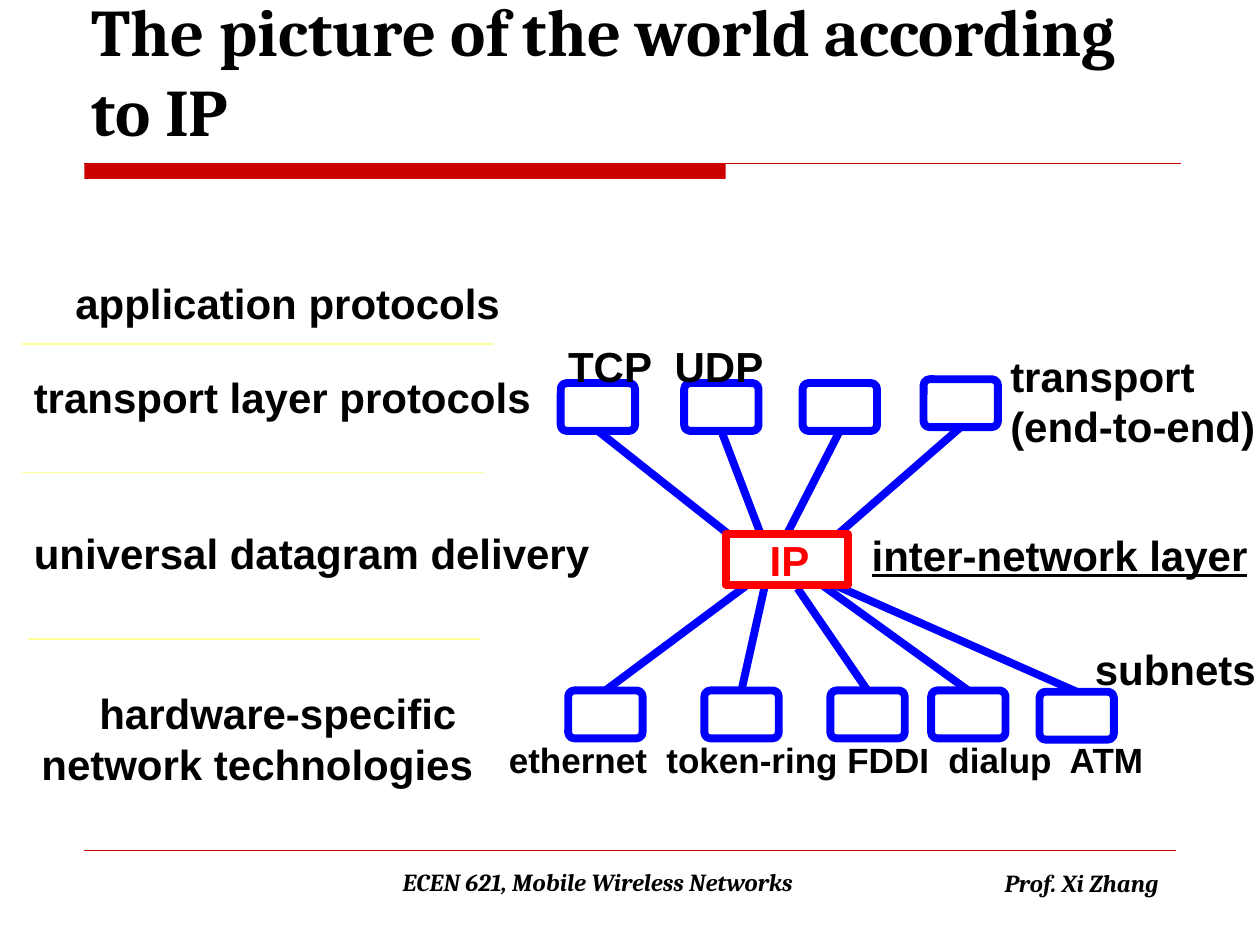
import pptx
import pptx.util
import pptx.dml.color
import pptx.enum.shapes
import pptx.enum.text
import pptx.oxml.ns
from lxml import etree

Inches = pptx.util.Inches
Pt = pptx.util.Pt
SHAPE = pptx.enum.shapes.MSO_SHAPE
ALIGN = pptx.enum.text.PP_ALIGN
ANCHOR = pptx.enum.text.MSO_ANCHOR

BLACK, BLUE, RED = "000000", "0000FF", "FF0000"
RULE, DIVIDER = "CC0000", "FFFF99"
TOP, BOTTOM = 0, 2
BOX_W, BOX_H = 0.59, 0.38


def color(value):
    return pptx.dml.color.RGBColor.from_string(value)


def add_text(s, text, x, y, w, h, size=24, font="Arial", c=BLACK, italic=False,
             underline=None, align=None, anchor=ANCHOR.TOP, right=0, indent=0):
    """Add bold text, one paragraph a line; indent shifts the first paragraph."""
    sp = s.shapes.add_textbox(Inches(x), Inches(y), Inches(w), Inches(h))
    tf = sp.text_frame
    tf.word_wrap = True
    tf.margin_right = Inches(right)
    tf.vertical_anchor = anchor
    for i, line in enumerate(text.split("\n")):
        p = tf.paragraphs[0] if i == 0 else tf.add_paragraph()
        p.alignment = align
        if i == 0 and indent:
            p._p.get_or_add_pPr().set("marL", str(Inches(indent)))
        r = p.add_run()
        r.text = line
        r.font.name, r.font.size = font, Pt(size)
        r.font.bold, r.font.italic, r.font.underline = True, italic, underline
        r.font.color.rgb = color(c)
    return sp


def add_box(s, kind, x, y, w, h, line=None, fill=None):
    sp = s.shapes.add_shape(kind, Inches(x), Inches(y), Inches(w), Inches(h))
    sp.shadow.inherit = False
    if fill:
        sp.fill.solid()
        sp.fill.fore_color.rgb = color(fill)
    else:
        sp.fill.background()
    if line:
        sp.line.color.rgb = color(line)
        sp.line.width = Pt(4.5)
    else:
        sp.line.fill.background()
    return sp


def add_protocol(s, x, y):
    sp = add_box(s, SHAPE.ROUNDED_RECTANGLE, x, y, BOX_W, BOX_H, line=BLUE)
    sp.adjustments[0] = 0.125
    return sp


def add_line(s, x1, y1, x2, y2, c, width):
    cn = s.shapes.add_connector(pptx.enum.shapes.MSO_CONNECTOR.STRAIGHT,
                                Inches(x1), Inches(y1), Inches(x2), Inches(y2))
    cn.line.color.rgb = color(c)
    cn.line.width = Pt(width)
    etree.SubElement(cn._element.spPr, pptx.oxml.ns.qn("a:effectLst"))
    return cn


def add_spoke(s, box_x, box_y, side, ip_x, ip_y):
    """Add a protocol box and the line that joins it to the IP box."""
    sp = add_protocol(s, box_x, box_y)
    cn = add_line(s, box_x, box_y, ip_x, ip_y, BLUE, 4.5)
    cn.begin_connect(sp, side)


def add_frame(s):
    # Title and its rule
    add_text(s, "The picture of the world according to IP", 0.63, 0.33, 8.75, 0.91,
             size=38, font="Cambria", anchor=ANCHOR.BOTTOM, right=0.1)
    add_box(s, SHAPE.RECTANGLE, 0.67, 1.3, 5.09, 0.12, fill=RULE)
    add_line(s, 0.67, 1.3, 9.37, 1.3, RULE, 0.75)

    # Footer
    footer = dict(size=14, font="Cambria", italic=True, align=ALIGN.CENTER, right=0.1)
    add_line(s, 0.67, 6.75, 9.33, 6.75, RULE, 0.25)
    add_text(s, "Prof. Xi Zhang", 7.25, 6.67, 2.42, 0.5,
             anchor=ANCHOR.BOTTOM, indent=0.25, **footer)
    add_text(s, "ECEN 621, Mobile Wireless Networks", 2.08, 6.83, 5.33, 0.5, **footer)


def add_layers(s):
    # Layer names on the left, with dividers between them
    add_text(s, "application protocols", 0.5, 2.15, 3.57, 0.5)
    add_text(s, "transport layer protocols", 0.17, 2.9, 4.14, 0.5)
    add_text(s, "universal datagram delivery", 0.17, 4.14, 4.61, 0.5)
    add_text(s, "hardware-specific\nnetwork technologies", 0.23, 5.41, 3.62, 0.9,
             indent=0.46)
    for x1, x2, y in [(0.17, 3.91, 2.73), (0.17, 3.84, 3.75), (0.22, 3.81, 5.07)]:
        add_line(s, x1, y, x2, y, DIVIDER, 1)


def add_hourglass(s):
    # Transport protocols above IP: box left, box top, line end at IP
    for x, y, ip_x, ip_y in [(4.45, 3.04, 5.77, 4.23), (5.43, 3.04, 6.03, 4.22),
                             (6.37, 3.04, 6.25, 4.23), (7.33, 3.01, 6.65, 4.24)]:
        add_spoke(s, x, y, BOTTOM, ip_x, ip_y)

    # Subnets below IP
    for x, y, ip_x, ip_y in [(4.51, 5.48, 5.92, 4.65), (5.59, 5.48, 6.07, 4.65),
                             (6.59, 5.48, 6.33, 4.67), (7.39, 5.48, 6.52, 4.64),
                             (8.25, 5.49, 6.64, 4.65)]:
        add_spoke(s, x, y, TOP, ip_x, ip_y)

    # IP in the waist
    add_text(s, "IP", 6.01, 4.19, 0.51, 0.5, c=RED)
    add_box(s, SHAPE.RECTANGLE, 5.76, 4.24, 0.97, 0.4, line=RED)

    # Labels
    add_text(s, "TCP  UDP", 4.41, 2.65, 1.75, 0.5)
    add_text(s, "ethernet  token-ring FDDI  dialup  ATM", 3.94, 5.81, 5.27, 0.43, size=20)
    add_text(s, "transport\n(end-to-end)", 7.92, 2.73, 2.14, 0.9)
    add_text(s, "inter-network layer", 6.82, 4.15, 3.18, 0.5, underline=True)
    add_text(s, "subnets", 8.59, 5.06, 1.48, 0.5)


def main():
    prs = pptx.Presentation()
    prs.slide_width, prs.slide_height = Inches(10), Inches(7.5)
    s = prs.slides.add_slide(prs.slide_layouts[6])
    add_frame(s)
    add_layers(s)
    add_hourglass(s)
    prs.save("out.pptx")


if __name__ == "__main__":
    main()
